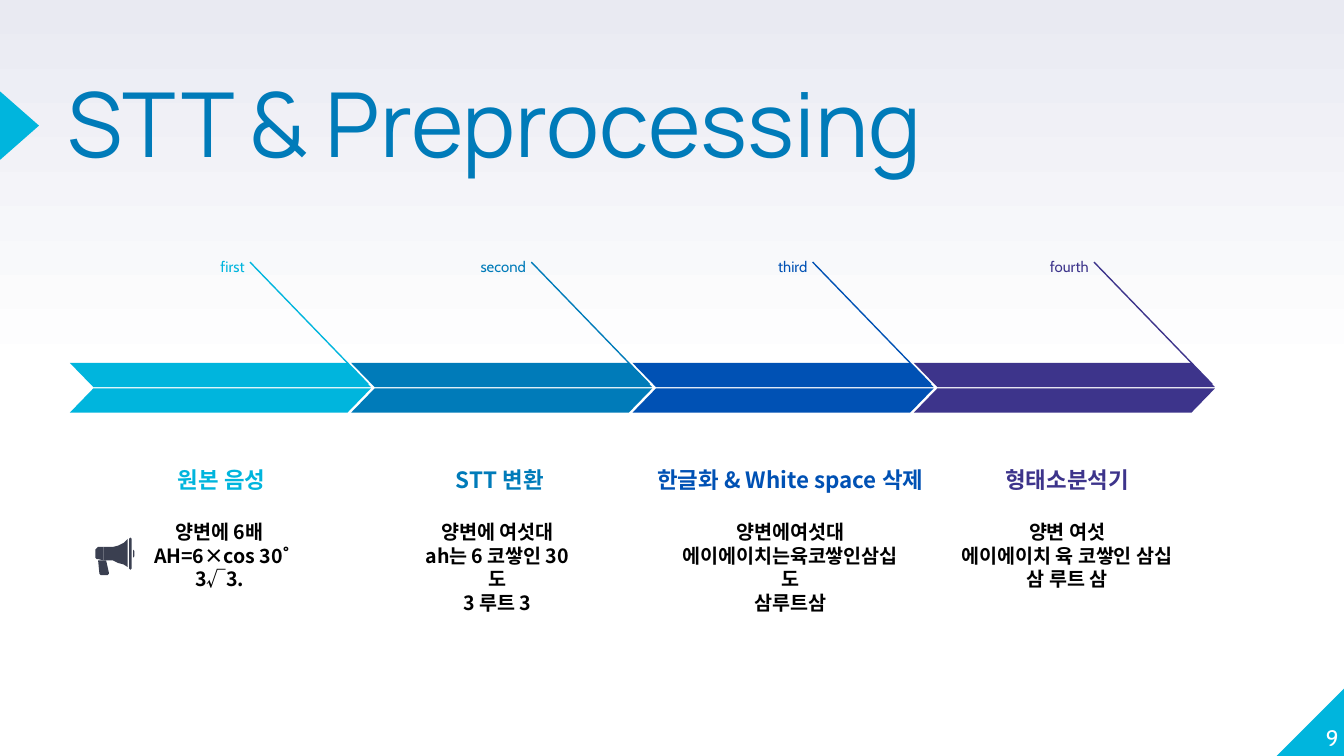
from copy import deepcopy

from lxml import etree
from pptx import Presentation
from pptx.dml.color import RGBColor
from pptx.enum.shapes import MSO_CONNECTOR, MSO_SHAPE
from pptx.enum.text import MSO_ANCHOR, MSO_AUTO_SIZE, PP_ALIGN
from pptx.oxml.ns import qn
from pptx.util import Inches, Pt

TRIANGLE, CORNER = MSO_SHAPE.ISOSCELES_TRIANGLE, MSO_SHAPE.RIGHT_TRIANGLE
BAND = MSO_SHAPE.PARALLELOGRAM
LEFT, CENTER, RIGHT = PP_ALIGN.LEFT, PP_ALIGN.CENTER, PP_ALIGN.RIGHT
TOP, BOTTOM = MSO_ANCHOR.TOP, MSO_ANCHOR.BOTTOM
STRAIGHT = MSO_CONNECTOR.STRAIGHT
FIXED, GROW = MSO_AUTO_SIZE.NONE, MSO_AUTO_SIZE.SHAPE_TO_FIT_TEXT

COLORS = {
    "cyan": "00B5DD", "blue": "007BB9", "royal": "0051B4", "violet": "3D348B",
    "white": "FFFFFF", "mist": "E9EAF2", "black": "000000", "slate": "3A3F50",
}
KOREAN = "Noto Sans CJK KR"

# Grid in inches: four arrow columns at one pitch, rows from label to body
SLIDE_W = 10
SLIDE_H = SLIDE_W * 9 / 16
GRID_LEFT = 0.52
PITCH = 6.28 / 3
ROWS = {"label": 1.8, "pointer": 1.95, "band": 2.7, "heading": 3.22, "body": 3.82}
BAND_W, BAND_H, BAND_STEP = 2.24, 0.18, 0.19

# label, colour, text centre, heading, heading width, body lines, body width
STEPS = [
    ("first", "cyan", 1.65, "원본 음성", 1.84,
     ["양변에 6배 ", "AH=6×cos 30˚", "3√3. "], 1.37),
    ("second", "blue", 3.7, " STT 변환", 1.84,
     ["양변에 여섯대", "ah는 6 코쌓인 30도", "3 루트 3"], 1.37),
    ("third", "royal", 5.88, "한글화 & White space 삭제", 2.24,
     ["양변에여섯대", "에이에이치는육코쌓인삼십도", "삼루트삼"], 1.89),
    ("fourth", "violet", 7.94, "형태소분석기", 1.84,
     ["양변 여섯", "에이에이치 육 코쌓인 삼십", "삼 루트 삼"], 1.89),
]

# Megaphone outlines in hundredths of an inch
MEGAPHONE = {
    "handle": [(73, 417), (74, 427), (75, 428), (80, 428), (81, 427),
               (81, 426), (79, 417)],
    "sound": [(99, 409), (100, 410), (100, 414), (99, 415)],
    "grip": [(77, 407), (73, 407), (72, 408), (71, 409), (71, 415),
             (72, 416), (73, 416), (77, 417)],
    "horn": [(95, 401), (92, 403.5), (88, 405.5), (84, 406.7), (77, 407),
             (77, 417), (84, 417.3), (88, 418.7), (92, 420.3), (95, 422)],
    "rim": [(97, 400), (96, 401), (96, 423), (97, 424), (98, 423), (98, 401)],
}


def rgb(name):
    return RGBColor.from_string(COLORS[name])


def paint(shape, color):
    shape.shadow.inherit = False
    shape.fill.solid()
    shape.fill.fore_color.rgb = rgb(color)
    shape.line.fill.background()


def add_preset(slide, kind, box, color, flip=False, rotation=0, adjust=None):
    shape = slide.shapes.add_shape(kind, *map(Inches, box))
    paint(shape, color)
    shape.rotation = rotation
    if flip:
        shape.element.spPr.find(qn("a:xfrm")).set("flipH", "1")
    if adjust is not None:
        shape.adjustments[0] = adjust


def add_text(slide, box, lines, color, size, font, align=LEFT, bold=False,
             margins=(0, 0), anchor=TOP, paragraph_format=None, auto_size=FIXED):
    frame = slide.shapes.add_textbox(*map(Inches, box)).text_frame
    side, top = map(Inches, margins)
    frame_format = {
        "word_wrap": True, "vertical_anchor": anchor, "auto_size": auto_size,
        "margin_left": side, "margin_right": side,
        "margin_top": top, "margin_bottom": top,
    }
    for name, value in frame_format.items():
        setattr(frame, name, value)
    for index, line in enumerate(lines):
        paragraph = frame.add_paragraph() if index else frame.paragraphs[0]
        for name, value in {"alignment": align, **(paragraph_format or {})}.items():
            setattr(paragraph, name, value)
        run = paragraph.add_run()
        run.text = line
        for name, value in {"size": Pt(size), "name": font, "bold": bold}.items():
            setattr(run.font, name, value)
        run.font.color.rgb = rgb(color)
        # Korean glyphs take the East Asian typeface
        east_asian = etree.SubElement(run.font._element, qn("a:ea"))
        east_asian.set("typeface", font)


def add_pointer(slide, start, end, color):
    pointer = slide.shapes.add_connector(STRAIGHT, *map(Inches, (*start, *end)))
    pointer.line.color.rgb = rgb(color)
    pointer.line.width = Pt(0.75)
    etree.SubElement(pointer.element.spPr, qn("a:effectLst"))


def add_background(slide):
    fill = slide.background.fill
    fill.gradient()
    fill.gradient_angle = 90
    stop_list = slide.element.find(".//" + qn("a:gsLst"))
    stop_list.append(deepcopy(stop_list[-1]))
    stops = [(0, "white"), (0.5, "white"), (1, "mist")]
    for stop, (position, color) in zip(fill.gradient_stops, stops):
        stop.position = position
        stop.color.rgb = rgb(color)


def add_step(slide, column, step):
    label, color, center, heading, heading_w, body, body_w = step
    left = GRID_LEFT + column * PITCH

    add_text(slide, (left + 0.64, ROWS["label"], 0.76, 0.29), [label], color, 8,
             "Cabin", RIGHT, margins=(0.1, 0.1),
             paragraph_format={"line_spacing": 1.15, "space_after": Pt(16)})
    add_text(slide, (center - heading_w / 2, ROWS["heading"], heading_w, 0.55),
             [heading], color, 12, KOREAN, CENTER, True, (0.1, 0.1), BOTTOM,
             {"line_spacing": 1.15})
    add_pointer(slide, (left + 1.34, ROWS["pointer"]), (left + 2.22, 2.86), color)

    # Two mirrored halves form the arrow
    for half, flip in enumerate((True, False)):
        top = ROWS["band"] + half * BAND_STEP
        add_preset(slide, BAND, (left, top, BAND_W, BAND_H), color, flip,
                   adjust=0.97)

    add_text(slide, (center - body_w / 2, ROWS["body"], body_w, 0.63), body,
             "black", 10.5, KOREAN, CENTER, True, (0.1, 0.05), auto_size=GROW)


def add_megaphone(slide):
    megaphone = slide.shapes.add_group_shape()
    for outline in MEGAPHONE.values():
        builder = megaphone.shapes.build_freeform(*outline[0], scale=Inches(0.01))
        builder.add_line_segments(outline[1:], close=True)
        paint(builder.convert_to_shape(), "slate")


def main():
    deck = Presentation()
    deck.slide_width, deck.slide_height = Inches(SLIDE_W), Inches(SLIDE_H)
    slide = deck.slides.add_slide(deck.slide_layouts[6])

    # Backdrop and accents
    add_background(slide)
    add_preset(slide, CORNER, (SLIDE_W - 0.5, SLIDE_H - 0.51, 0.51, 0.51), "cyan",
               flip=True)
    add_preset(slide, TRIANGLE, (-0.11, 0.79, 0.51, 0.29), "cyan", rotation=90)

    # Title and page number
    add_text(slide, (0.5, 0.66, 6.73, 1.18), ["STT & Preprocessing"], "blue", 48,
             "Manrope", paragraph_format={"line_spacing": 0.8})
    add_text(slide, (SLIDE_W - 0.54, SLIDE_H - 0.55, 0.5, 0.51), ["9"], "white", 12,
             "Cabin", RIGHT, anchor=BOTTOM)

    # Process steps
    for column, step in enumerate(STEPS):
        add_step(slide, column, step)
    add_megaphone(slide)

    deck.save("out.pptx")


if __name__ == "__main__":
    main()
